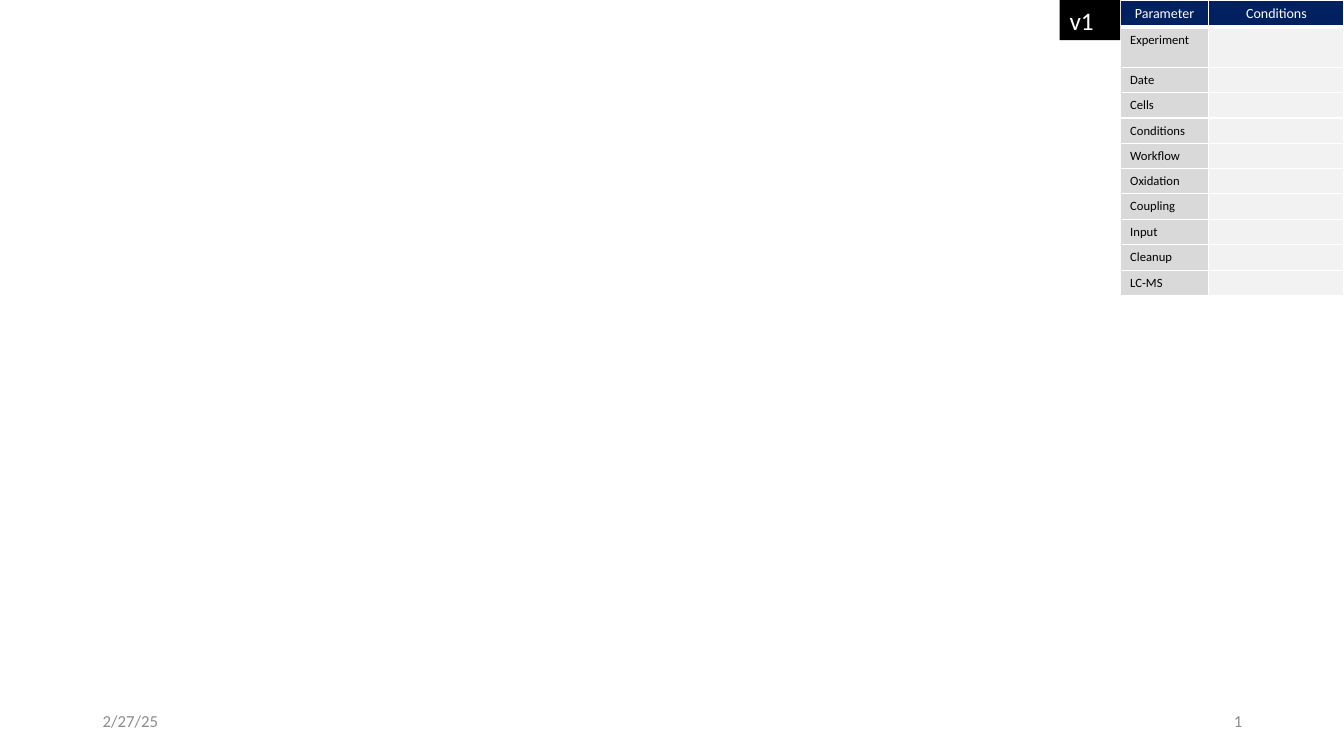
from lxml.etree import SubElement
from pptx import Presentation
from pptx.dml.color import RGBColor
from pptx.enum.shapes import MSO_SHAPE
from pptx.enum.text import MSO_ANCHOR, PP_ALIGN
from pptx.oxml.ns import qn
from pptx.util import Inches, Pt

RECT = MSO_SHAPE.RECTANGLE
MIDDLE = MSO_ANCHOR.MIDDLE
LEFT, CENTER, RIGHT = PP_ALIGN.LEFT, PP_ALIGN.CENTER, PP_ALIGN.RIGHT
WHITE = RGBColor(0xFF, 0xFF, 0xFF)
BLACK = RGBColor(0, 0, 0)
NAVY = RGBColor(0x00, 0x20, 0x60)
SILVER = RGBColor(0xD9, 0xD9, 0xD9)
PALE = RGBColor(0xF2, 0xF2, 0xF2)
GRAY = RGBColor(0x8C, 0x8C, 0x8C)
FONT = "Calibri"
WIDE, HIGH = 13.33, 7.5
HEADS = ["Parameter", "Conditions"]
LABELS = ["Experiment", "Date", "Cells", "Conditions", "Workflow",
          "Oxidation", "Coupling", "Input", "Cleanup", "LC-MS"]
COLS = [0.88, 1.34]
ROW = 0.25
TALL = {"Parameter": 0.27, "Experiment": 0.4, "Cleanup": 0.26}


def write(frame, text, size, color, align=LEFT):
    """Set one line of text and its format."""
    line = frame.paragraphs[0]
    line.text = text
    line.alignment = align
    for run in line.runs:
        run.font.name = FONT
        run.font.size = Pt(size)
        run.font.color.rgb = color
    if not text:
        SubElement(line._p, qn("a:endParaRPr"), sz=str(size * 100))


def edge(cell, base):
    """Draw white borders around a cell, with the given bottom width."""
    props = cell._tc.get_or_add_tcPr()
    for side, width in zip("LRTB", (1, 1, 1, base)):
        line = SubElement(props, qn(f"a:ln{side}"), w=str(Pt(width)))
        fill = SubElement(line, qn("a:solidFill"))
        SubElement(fill, qn("a:srgbClr"), val=str(WHITE))


def paint(cell, text, size, color, back, align=LEFT, base=1):
    """Fill one table cell."""
    write(cell.text_frame, text, size, color, align)
    edge(cell, base)
    cell.fill.solid()
    cell.fill.fore_color.rgb = back


def grid(slide, left, top):
    """Place the table of parameters."""
    names = [HEADS[0]] + LABELS
    highs = [TALL.get(name, ROW) for name in names]
    table = slide.shapes.add_table(
        len(names), len(COLS), Inches(left), Inches(top),
        Inches(sum(COLS)), Inches(sum(highs))).table
    for col, width in zip(table.columns, COLS):
        col.width = Inches(width)
    for row, high in zip(table.rows, highs):
        row.height = Inches(high)
    for col, head in enumerate(HEADS):
        paint(table.cell(0, col), head, 10, WHITE, NAVY, CENTER, 3)
    for row, label in enumerate(LABELS, 1):
        paint(table.cell(row, 0), label, 9, BLACK, SILVER)
        paint(table.cell(row, 1), "", 9, BLACK, PALE)


def badge(slide, left, top, width, high):
    """Place the black version tag."""
    tag = slide.shapes.add_shape(
        RECT, Inches(left), Inches(top), Inches(width), Inches(high))
    tag.shadow.inherit = False
    tag.fill.solid()
    tag.fill.fore_color.rgb = BLACK
    tag.line.fill.background()
    tag.text_frame.vertical_anchor = MSO_ANCHOR.TOP
    write(tag.text_frame, "v1", 18, WHITE)


def footer(slide, left, top, width, high):
    """Place the date and the page number at the two ends of a band."""
    part = 3
    for text, start, align in (("2/27/25", left, LEFT),
                               ("1", left + width - part, RIGHT)):
        box = slide.shapes.add_textbox(
            Inches(start), Inches(top), Inches(part), Inches(high))
        box.text_frame.word_wrap = True
        box.text_frame.vertical_anchor = MIDDLE
        write(box.text_frame, text, 12, GRAY, align)


def main():
    """Build and save the slide."""
    deck = Presentation()
    deck.slide_width, deck.slide_height = Inches(WIDE), Inches(HIGH)
    slide = deck.slides.add_slide(deck.slide_layouts[6])
    left = WIDE - sum(COLS)
    footer(slide, 0.92, 6.95, 11.5, 0.4)
    grid(slide, left, 0)
    badge(slide, left - 0.6, 0, 0.6, 0.4)
    deck.save("out.pptx")


if __name__ == "__main__":
    main()
